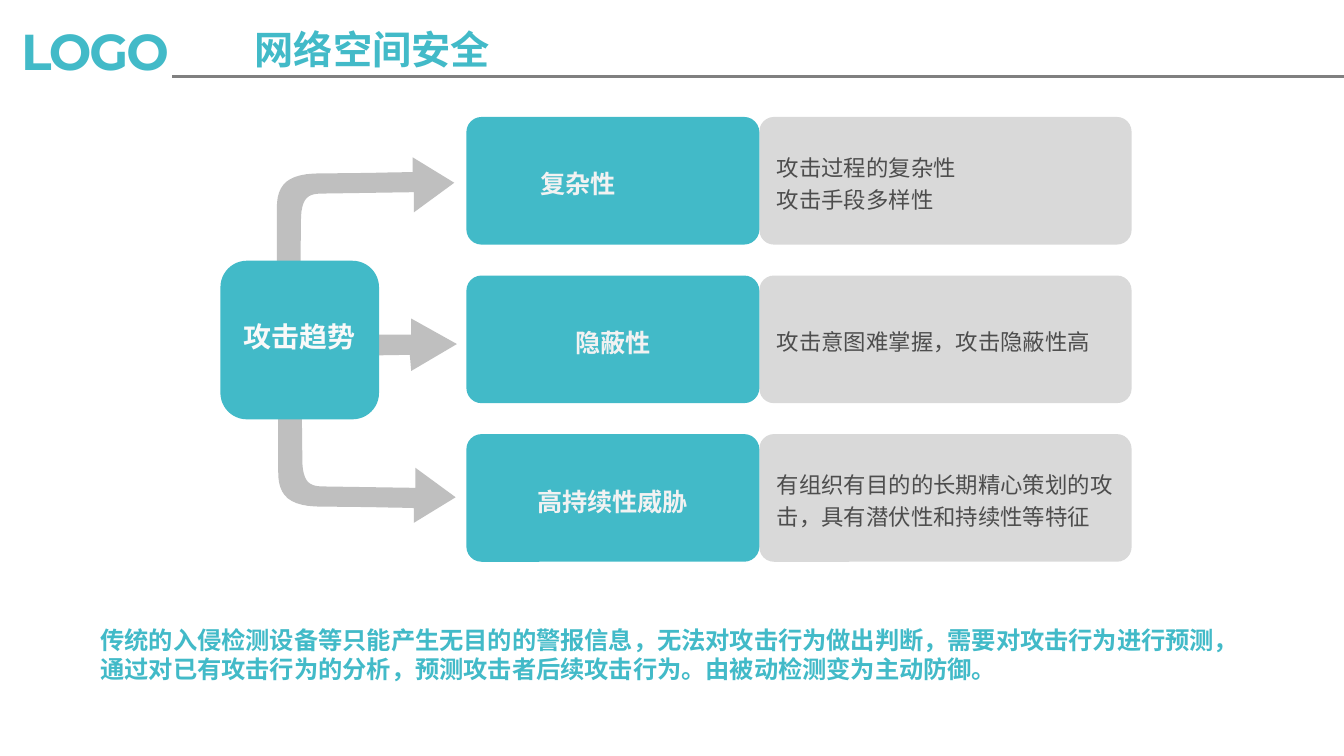
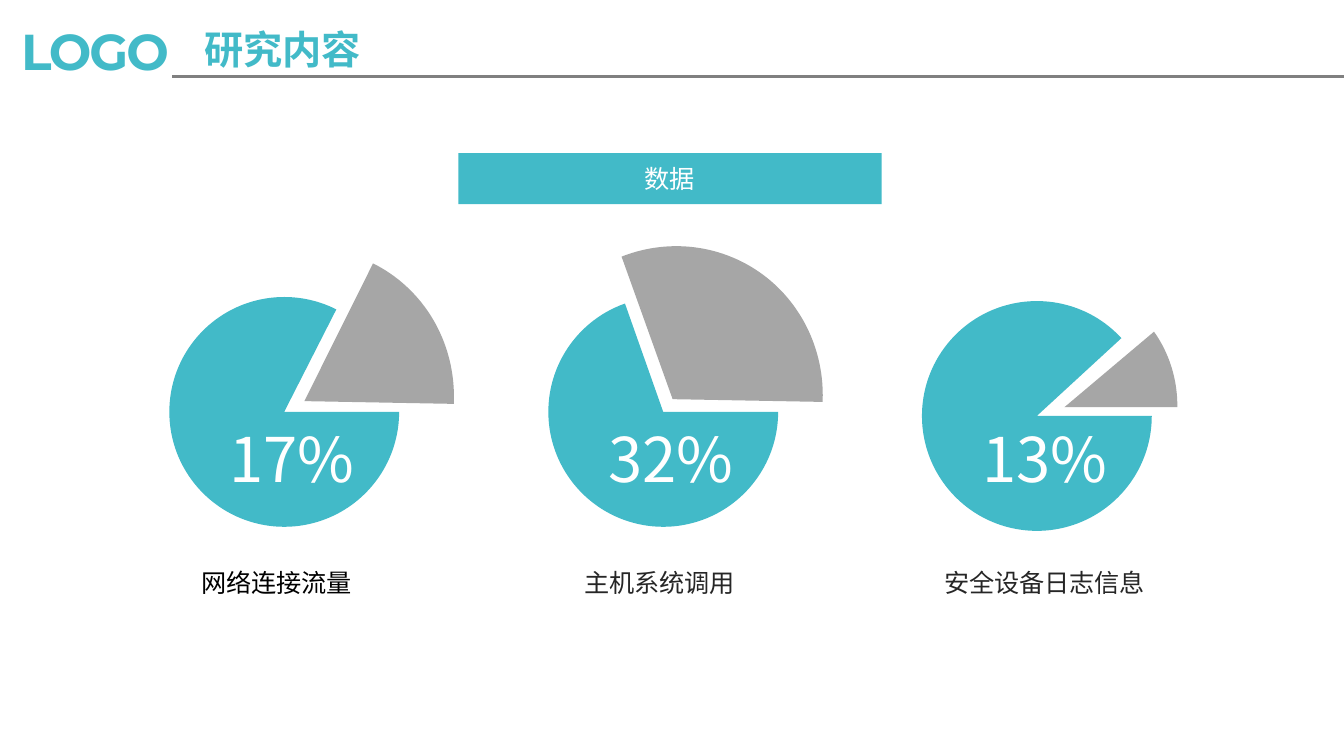
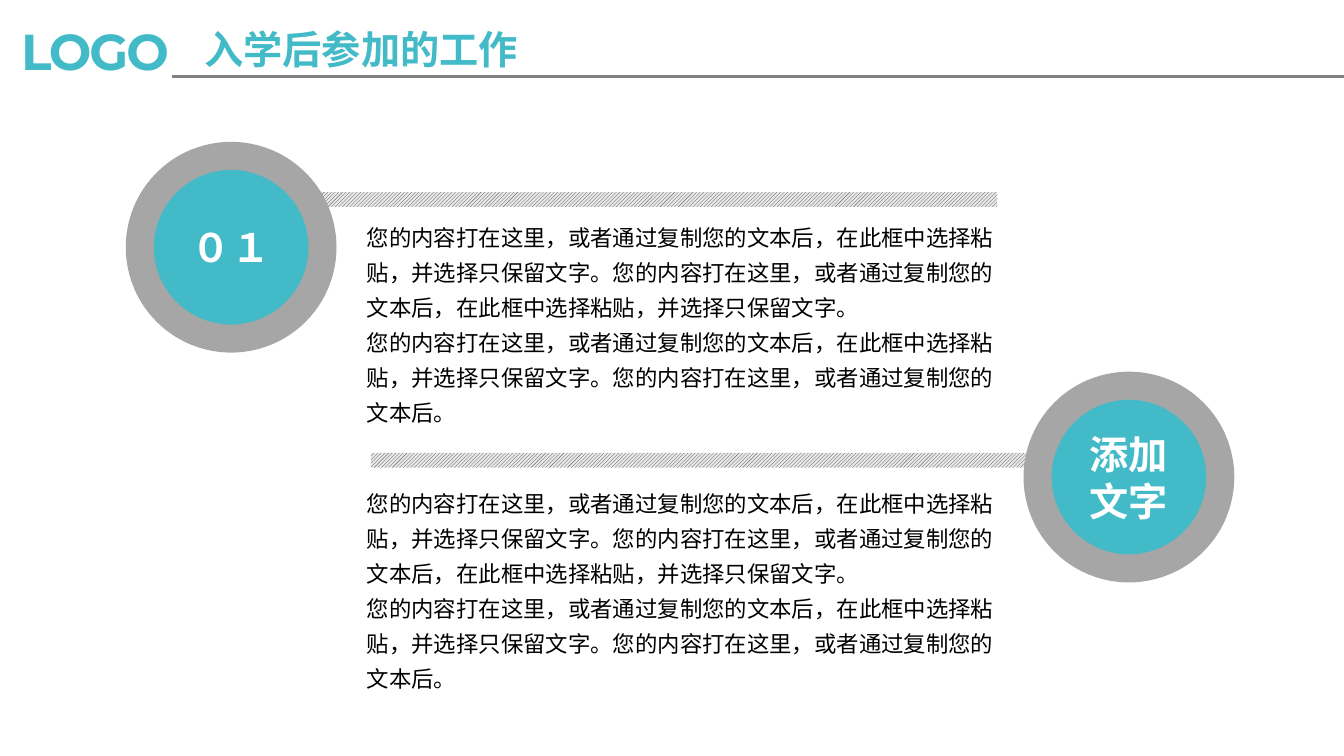
from pptx import Presentation
from pptx.dml.color import RGBColor
from pptx.enum.dml import MSO_PATTERN
from pptx.enum.shapes import MSO_CONNECTOR, MSO_SHAPE
from pptx.enum.text import MSO_ANCHOR, MSO_AUTO_SIZE, PP_ALIGN
from pptx.oxml.ns import qn
from pptx.util import Emu, Inches, Pt
from lxml import etree

LEFT, MID = PP_ALIGN.LEFT, PP_ALIGN.CENTER
TOP, HALF = MSO_ANCHOR.TOP, MSO_ANCHOR.MIDDLE
RECT, ROUND = MSO_SHAPE.RECTANGLE, MSO_SHAPE.ROUNDED_RECTANGLE
OVAL, PIE = MSO_SHAPE.OVAL, MSO_SHAPE.PIE
HATCH = MSO_PATTERN.LIGHT_UPWARD_DIAGONAL

WIDE, HIGH = Inches(10), Inches(5.625)
COL = WIDE / 10  # square grid, ten columns across
SANS, BRAND = "Noto Sans CJK SC", "Montserrat"
WIDE_INS, SLIM_INS = (0.1, 0.05, 0.1, 0.05), (0.07, 0.04, 0.07, 0.04)
HUES = {
    "teal": "42BAC8", "rule": "808080", "arrow": "BFBFBF", "panel": "D9D9D9",
    "slice": "A6A6A6", "note": "4D4D4D", "pale": "F2F2F2", "snow": "F9F9F9",
    "white": "FFFFFF", "black": "000000", "ink": "262626",
    "hatch": "414455", "back": "E8E8E6",
}

LONG = "您的内容打在这里，或者通过复制您的文本后，在此框中选择粘贴，并选择只保留文字。"
SHORT = "您的内容打在这里，或者通过复制您的文本后。"


def hue(name):
    return RGBColor.from_string(HUES[name])


def grid(*cells):
    return [Emu(round(c * COL)) for c in cells]


def write(shape, lines, size, color, bold=False, align=LEFT, space=None,
          ins=WIDE_INS, indent=0, font=SANS, anchor=TOP, track=None):
    """Fill a shape with evenly styled paragraphs; track is letter spacing."""
    frame = shape.text_frame
    frame.word_wrap = True
    frame.auto_size = MSO_AUTO_SIZE.NONE
    frame.vertical_anchor = anchor
    (frame.margin_left, frame.margin_top,
     frame.margin_right, frame.margin_bottom) = grid(*ins)
    frame.text = "\n".join(lines)
    for para in frame.paragraphs:
        para.alignment = align
        if space:
            para.line_spacing = space
        face = para.font
        face.size, face.bold, face.name = Pt(size), bold, font
        face.color.rgb = hue(color)
        props = para._p.get_or_add_pPr()
        if indent:
            props.set("marL", str(grid(indent)[0]))
            props.set("indent", "0")
        base = props.find(qn("a:defRPr"))
        etree.SubElement(base, qn("a:ea")).set("typeface", font)
        if track:
            base.set("spc", str(round(track * 100)))


def label(slide, at, lines, size, color, **style):
    write(slide.shapes.add_textbox(*grid(*at)), lines, size, color, **style)


def block(slide, kind, at, color, adjust=(), turn=0):
    shape = slide.shapes.add_shape(kind, *grid(*at))
    shape.shadow.inherit = False
    shape.fill.solid()
    shape.fill.fore_color.rgb = hue(color)
    shape.line.fill.background()
    for i, value in enumerate(adjust):
        shape.adjustments[i] = value
    shape.rotation = turn
    return shape


def wedge(slide, at, color, start, end, turn=0):
    """Pie slice running clockwise between two angles in degrees."""
    block(slide, PIE, at, color, (start * 0.6, end * 0.6), turn)


def curve(a, b, c, d, steps=12):
    """Points along a cubic Bezier, without its first."""
    marks = [i / steps for i in range(1, steps + 1)]
    return [tuple((1 - t) ** 3 * p + 3 * t * (1 - t) ** 2 * q
                  + 3 * t * t * (1 - t) * r + t ** 3 * s
                  for p, q, r, s in zip(a, b, c, d)) for t in marks]


def outline(slide, points, color):
    dots = [grid(*p) for p in points]
    path = slide.shapes.build_freeform(*dots[0], scale=1.0)
    path.add_line_segments(dots[1:], close=True)
    shape = path.convert_to_shape()
    shape.shadow.inherit = False
    shape.fill.solid()
    shape.fill.fore_color.rgb = hue(color)
    shape.line.fill.background()


def bend():
    """Outline of the arrow that rises and turns right."""
    return [
        (2.23, 2.52), (2.24, 1.61),
        *curve((2.24, 1.61), (2.25, 1.44), (2.32, 1.44), (2.43, 1.44)),
        (3.08, 1.43), (3.08, 1.58), (3.38, 1.36), (3.07, 1.17), (3.07, 1.28),
        *curve((3.07, 1.28), (3.07, 1.28), (2.63, 1.29), (2.39, 1.29)),
        *curve((2.39, 1.29), (2.14, 1.29), (2.06, 1.37), (2.06, 1.55)),
        (2.06, 2.54),
        *curve((2.06, 2.54), (2.09, 2.7), (2.19, 2.69), (2.23, 2.52)),
    ]


def page(deck, title, align=LEFT):
    """New slide with brand word, rule and title."""
    slide = deck.slides.add_slide(deck.slide_layouts[5])
    label(slide, (0.06, 0.1, 1.4, 0.56), ["LOGO"], 27, "teal",
          bold=True, font=BRAND, track=-1.1)
    rule = slide.shapes.add_connector(
        MSO_CONNECTOR.STRAIGHT, *grid(1.28, 0.57, 10, 0.57))
    rule.line.color.rgb = hue("rule")
    rule.line.width = Pt(2)
    etree.SubElement(rule._element.spPr, qn("a:effectLst"))
    head = slide.shapes.title
    head.left, head.top, head.width, head.height = grid(1.42, 0.14, 2.7, 0.47)
    write(head, [title], 21, "teal", bold=True, align=align)
    return slide


def trends(deck):
    slide = page(deck, "网络空间安全", MID)
    rise = bend()
    outline(slide, [(x + 0.01, 5.06 - y) for x, y in rise], "arrow")
    outline(slide, [(1.83, 2.66), (3.05, 2.64), (3.06, 2.76), (3.4, 2.56),
                    (3.06, 2.37), (3.06, 2.49), (1.83, 2.49)], "arrow")
    outline(slide, rise, "arrow")

    rows = [
        ("复杂性", ["攻击过程的复杂性", "攻击手段多样性"], LEFT, 0.42),
        ("隐蔽性", ["攻击意图难掌握，攻击隐蔽性高"], MID, 0),
        ("高持续性威胁", ["有组织有目的的长期精心策划的攻击，具有潜伏性和持续性等特征"],
         MID, 0),
    ]
    for i, (name, notes, align, indent) in enumerate(rows):
        top = 0.87 + 1.18 * i
        panel = block(slide, ROUND, (5.65, top, 2.77, 0.95), "panel", [0.115])
        write(panel, notes, 12, "note", space=1.2, anchor=HALF)
        tag = block(slide, ROUND, (3.47, top, 2.18, 0.95), "teal", [0.119])
        write(tag, [name], 13.5, "pale", bold=True, align=align, space=1.2,
              indent=indent, anchor=HALF)

    core = block(slide, ROUND, (1.64, 1.94, 1.18, 1.18), "teal")
    write(core, ["攻击趋势"], 15, "snow", bold=True, align=MID, space=1.2,
          ins=(0.1, 0.05, 0.1, 0.15), anchor=HALF)
    label(slide, (0.65, 4.6, 8.92, 0.55), [
        "传统的入侵检测设备等只能产生无目的的警报信息，无法对攻击行为做出判断，需要对攻击行为进行预测，",
        "通过对已有攻击行为的分析，预测攻击者后续攻击行为。由被动检测变为主动防御。",
    ], 13, "teal", bold=True)


def shares(deck):
    slide = page(deck, "研究内容")
    # disc left, top, end angle; slice place, start, end, turn;
    # figure and left; caption, left, colour, indent
    pies = [
        ((1.26, 2.21, 296.96), ((1.12, 1.88, 2.29, 2.21), 0, 64.56, 296.5),
         ("17%", 1.61), ("网络连接流量", 1.19, "black", 0.21)),
        ((4.08, 2.21, 250.53), ((3.86, 1.86, 2.29, 2.22), 313.78, 64.56, 296.5),
         ("32%", 4.43), ("主机系统调用", 4.04, "ink", 0.21)),
        ((6.86, 2.24, 317.38), ((7.01, 2.19, 1.82, 1.68), 45.97, 86.04, 273.9),
         ("13%", 7.21), ("安全设备日志信息", 6.93, "ink", 0)),
    ]
    for (left, top, end), (at, start, stop, turn), figure, caption in pies:
        wedge(slide, (left, top, 1.71, 1.71), "teal", 0, end)
        wedge(slide, at, "slice", start, stop, turn)
        text, x = figure
        label(slide, (x, 3.08, 1.3, 0.66), [text], 33, "white")
        text, x, color, indent = caption
        label(slide, (x, 4.17, 1.93, 0.35), [text], 13.5, color, indent=indent)
    bar = block(slide, RECT, (3.41, 1.14, 3.15, 0.38), "teal")
    write(bar, ["数据"], 13.5, "white", align=MID, ins=SLIM_INS, anchor=HALF)


def works(deck):
    slide = page(deck, "入学后参加的工作")
    parts = [
        ("０１", (2.28, 1.43), (1.04, 1.16), 1.57),
        ("添加文字", (2.76, 3.37), (7.72, 2.87), 3.55),
    ]
    for name, band, disc, top in parts:
        strip = block(slide, RECT, (*band, 5.14, 0.11), "back")
        strip.fill.patterned()
        strip.fill.pattern = HATCH
        strip.fill.fore_color.rgb = hue("hatch")
        strip.fill.back_color.rgb = hue("back")
        ring = block(slide, OVAL, (*disc, 1.36, 1.36), "teal")
        ring.line.color.rgb = hue("slice")
        ring.line.width = Pt(15)
        write(ring, [name], 21, "white", bold=True, align=MID,
              ins=SLIM_INS, anchor=HALF)
        label(slide, (2.66, top, 4.84, 1.65), [LONG * 2, LONG + SHORT],
              12, "black", space=1.3, ins=SLIM_INS)


def main():
    deck = Presentation()
    deck.slide_width, deck.slide_height = WIDE, HIGH
    trends(deck)
    shares(deck)
    works(deck)
    deck.save("out.pptx")


if __name__ == "__main__":
    main()
